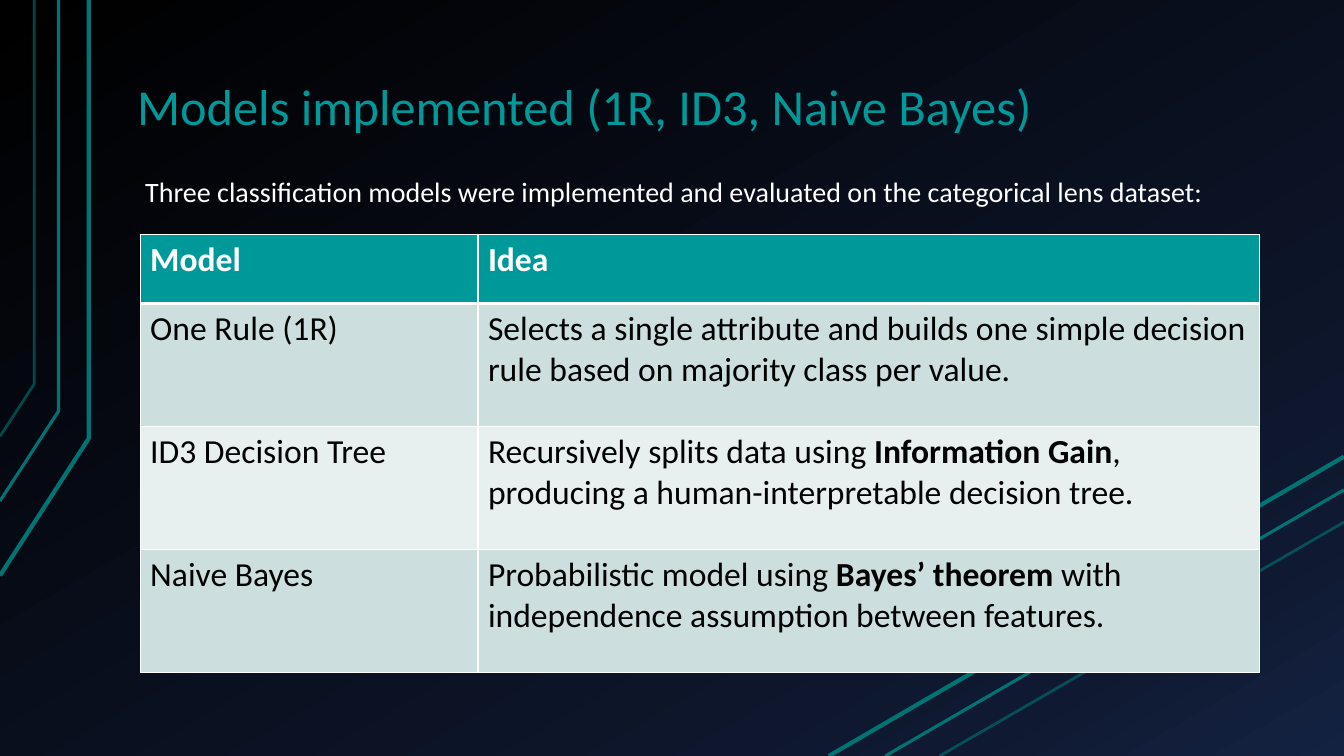
from lxml import etree
from pptx import Presentation
from pptx.dml.color import RGBColor
from pptx.enum.shapes import MSO_CONNECTOR
from pptx.enum.text import MSO_ANCHOR, MSO_AUTO_SIZE, PP_ALIGN
from pptx.oxml.ns import qn
from pptx.util import Pt

PX = 9144  # 100 px to the inch
WIDE, HIGH = 1333, 750
FONT = "Calibri"
LEFT = PP_ALIGN.LEFT
TOP, BASE = MSO_ANCHOR.TOP, MSO_ANCHOR.BOTTOM
NO_FIT = MSO_AUTO_SIZE.NONE
LINE = MSO_CONNECTOR.STRAIGHT

TEAL = RGBColor(0x00, 0x99, 0x99)
DEEP = RGBColor(0x00, 0x73, 0x73)
WHITE = RGBColor(0xFF, 0xFF, 0xFF)
BLACK = RGBColor(0x00, 0x00, 0x00)
MIST = RGBColor(0xCC, 0xDE, 0xDE)
PALE = RGBColor(0xE7, 0xEF, 0xEF)
NAVY = RGBColor(0x0F, 0x19, 0x31)
BLUE = RGBColor(0x14, 0x22, 0x42)

# Line width in points and opacity in percent, from bold to faint
PENS = [(3, 100), (2.25, 100), (2, 60)]
BENDS = [
    [(0, 571), (88, 435), (88, 0)],
    [(0, 497), (58, 408), (58, 0)],
    [(0, 433), (34, 381), (34, 0)],
]
RAYS = [
    [(822, 750), (1333, 453)],
    [(878, 750), (1333, 486)],
    [(932, 750), (1333, 518)],
]

# Each cell is a list of runs; every second run is bold
ROWS = [
    (["One Rule (1R)"],
     ["Selects a single attribute and builds one simple decision rule "
      "based on majority class per value."]),
    (["ID3 Decision Tree"],
     ["Recursively splits data using ", "Information Gain",
      ", producing a human-interpretable decision tree."]),
    (["Naive Bayes"],
     ["Probabilistic model using ", "Bayes’ theorem",
      " with independence assumption between features."]),
]


def px(*nums):
    return [round(n * PX) for n in nums]


def add_node(parent, tag, **attrs):
    return etree.SubElement(parent, qn(tag), attrs)


def add_color(parent, color):
    return add_node(parent, "a:srgbClr", val=str(color))


def add_run(para, text, size, color, bold=False):
    run = para.add_run()
    run.text = text
    font = run.font
    font.name, font.size, font.bold = FONT, Pt(size), bold
    font.color.rgb = color


def paint_back(slide):
    fill = slide.background.fill
    fill.gradient()
    fill.gradient_angle = 300
    stops = slide.element.find(".//" + qn("a:gsLst"))
    for stop in list(stops):
        stops.remove(stop)
    for spot, color in [(0, BLACK), (85, NAVY), (100, BLUE)]:
        add_color(add_node(stops, "a:gs", pos=str(spot * 1000)), color)


def set_pen(shape, pen):
    width, alpha = pen
    shape.line.width = Pt(width)
    shape.line.color.rgb = DEEP
    if alpha < 100:
        tint = shape.element.spPr.find(".//" + qn("a:srgbClr"))
        add_node(tint, "a:alpha", val=str(alpha * 1000))


def add_bend(slide, points, pen):
    start, *rest = points
    draft = slide.shapes.build_freeform(*start, scale=PX)
    draft.add_line_segments(rest, close=False)
    bend = draft.convert_to_shape()
    bend.shadow.inherit = False
    bend.fill.background()
    set_pen(bend, pen)


def add_ray(slide, points, pen):
    start, end = points
    ray = slide.shapes.add_connector(LINE, *px(*start, *end))
    set_pen(ray, pen)
    add_node(ray.element.spPr, "a:effectLst")


def fill_holder(shape, box, text, size, color, anchor):
    shape.left, shape.top, shape.width, shape.height = px(*box)
    frame = shape.text_frame
    frame.word_wrap, frame.auto_size = True, NO_FIT
    frame.vertical_anchor = anchor
    frame.margin_left, frame.margin_right = px(13, 13)
    frame.margin_top, frame.margin_bottom = px(7, 7)
    para = frame.paragraphs[0]
    para.alignment, para.line_spacing = LEFT, 0.9
    para.space_before = Pt(0)
    props = para._p.get_or_add_pPr()
    props.set("marL", "0")
    props.set("indent", "0")
    add_node(props, "a:buNone")
    add_run(para, text, size, color)


def fill_cell(cell, runs, back, head):
    props = cell._tc.get_or_add_tcPr()
    for side in "LRTB":
        width = 3 if head and side == "B" else 1
        edge = add_node(props, "a:ln" + side, w=str(int(Pt(width))))
        add_color(add_node(edge, "a:solidFill"), WHITE)
    cell.fill.solid()
    cell.fill.fore_color.rgb = back
    para = cell.text_frame.paragraphs[0]
    for i, text in enumerate(runs):
        add_run(para, text, 24, WHITE if head else BLACK, head or i % 2 == 1)


def add_models(slide):
    rows = [(["Model"], ["Idea"])] + ROWS
    frame = slide.shapes.add_table(len(rows), 2, *px(139, 233, 1110, 433))
    table = frame.table
    for col, width in zip(table.columns, px(335, 775)):
        col.width = width
    for i, cells in enumerate(rows):
        head = i == 0
        table.rows[i].height = px(68 if head else 122)[0]
        back = TEAL if head else MIST if i % 2 else PALE
        for j, runs in enumerate(cells):
            fill_cell(table.cell(i, j), runs, back, head)


def main():
    deck = Presentation()
    deck.slide_width, deck.slide_height = px(WIDE, HIGH)
    slide = deck.slides.add_slide(deck.slide_layouts[1])
    paint_back(slide)

    # Corner lines
    for bend, ray, pen in zip(BENDS, RAYS, PENS):
        add_bend(slide, bend, pen)
        add_ray(slide, ray, pen)

    # Title and lead sentence
    fill_holder(slide.shapes.title, (123, 60, 961, 82),
                "Models implemented (1R, ID3, Naive Bayes)", 36, TEAL, BASE)
    fill_holder(slide.placeholders[1], (131, 170, 1126, 512),
                "Three classification models were implemented and evaluated "
                "on the categorical lens dataset:", 20, WHITE, TOP)

    # Table of models
    add_models(slide)
    deck.save("out.pptx")


if __name__ == "__main__":
    main()
